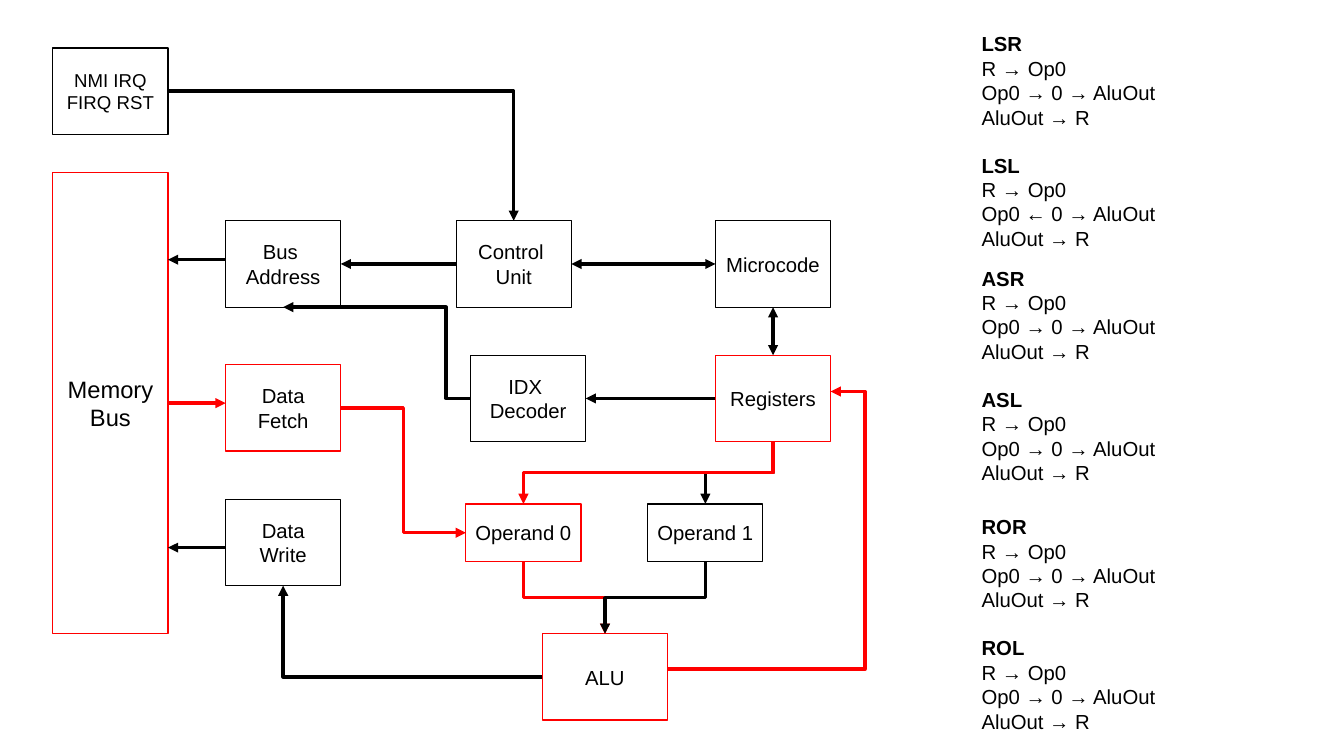
from dataclasses import dataclass
from lxml.etree import SubElement
from pptx import Presentation
from pptx.dml.color import RGBColor as Rgb
from pptx.enum.shapes import MSO_CONNECTOR as Link, MSO_SHAPE as Form
from pptx.enum.text import MSO_ANCHOR as Anchor, PP_ALIGN as Align
from pptx.oxml.ns import qn
from pptx.slide import Slide
from pptx.text.text import TextFrame
from pptx.util import Pt

COLORS = {"black": "000000", "red": "FF0000", "white": "FFFFFF"}
FONT = "Arial"
ROW, WIDE, HIGH = 130.4, 68, 51


@dataclass
class Box:
    text: str
    x: float
    y: float
    w: float = WIDE
    h: float = HIGH
    color: str = "black"
    size: float = 12

    def spot(self, part: tuple[float, float]) -> tuple[float, float]:
        return self.x + self.w * part[0], self.y + self.h * part[1]


@dataclass
class Wire:
    start: str
    leave: tuple[float, float]
    end: str
    enter: tuple[float, float]
    route: str
    color: str = "black"
    bend: float = 0.5
    double: bool = False


@dataclass
class Note:
    y: float
    codes: tuple[tuple[str, str], ...]


TOP, LOW, LEFT, RIGHT = (0.5, 0), (0.5, 1), (0, 0.5), (1, 0.5)

BOXES = {
    "control": Box("Control \nUnit", 269.3, ROW),
    "regs": Box("Registers", 422.4, 209.8, color="red"),
    "index": Box("IDX \nDecoder", 277.8, 209.8),
    "micro": Box("Microcode", 422.4, ROW),
    "alu": Box("ALU", 320.3, 374.2, w=73.7, color="red"),
    "address": Box("Bus \nAddress", 133.2, ROW),
    "fetch": Box("Data\nFetch", 133.2, 215.4, color="red"),
    "write": Box("Data\nWrite", 133.2, 294.8),
    "memory": Box("Memory\nBus", 31.2, 102, h=272.1, color="red", size=14),
    "op0": Box("Operand 0", 275, 297.6, h=34, color="red"),
    "signals": Box("NMI IRQ\nFIRQ RST", 31.2, 28.3, size=11),
    "op1": Box("Operand 1", 382.4, 297.6, h=34),
}

WIRES = [
    Wire("address", (0, 0.45), "memory", RIGHT, "H"),
    Wire("memory", RIGHT, "fetch", LEFT, "H", "red"),
    Wire("write", (0, 0.56), "memory", RIGHT, "H"),
    Wire("alu", LEFT, "write", LOW, "HV"),
    Wire("op0", LOW, "alu", TOP, "VHV", "red"),
    Wire("op1", LOW, "alu", TOP, "VHV"),
    Wire("regs", LEFT, "index", RIGHT, "H"),
    Wire("control", LEFT, "address", RIGHT, "H"),
    Wire("fetch", RIGHT, "op0", LEFT, "HVH", "red"),
    Wire("regs", LOW, "op1", TOP, "VHV"),
    Wire("regs", LOW, "op0", TOP, "VHV", "red"),
    Wire("index", LEFT, "address", LOW, "HVH", bend=0.13),
    Wire("signals", RIGHT, "control", TOP, "HV"),
    Wire("micro", LOW, "regs", TOP, "V", double=True),
    Wire("control", RIGHT, "micro", LEFT, "H", double=True),
    Wire("alu", (1, 0.41), "regs", (1, 0.42), "HVH", "red", 1.21),
]

NOTES = [
    Note(15.1, (("LSR", "→"), ("LSL", "←"))),
    Note(153.4, (("ASR", "→"), ("ASL", "→"))),
    Note(300.2, (("ROR", "→"), ("ROL", "→"))),
]


def paint(name: str) -> Rgb:
    return Rgb.from_string(COLORS[name])


def style(frame: TextFrame, size: float) -> None:
    for para in frame.paragraphs:
        for run in para.runs:
            run.font.name = FONT
            run.font.size = Pt(size)
            run.font.color.rgb = paint("black")


def draw_box(slide: Slide, box: Box) -> None:
    shape = slide.shapes.add_shape(
        Form.RECTANGLE, Pt(box.x), Pt(box.y), Pt(box.w), Pt(box.h))
    shape.shadow.inherit = False
    shape.fill.solid()
    shape.fill.fore_color.rgb = paint("white")
    shape.line.color.rgb = paint(box.color)
    shape.line.width = Pt(0)
    frame = shape.text_frame
    frame.word_wrap = False
    frame.vertical_anchor = Anchor.MIDDLE
    frame.text = box.text
    for para in frame.paragraphs:
        para.alignment = Align.CENTER
    style(frame, box.size)


def draw_wire(slide: Slide, wire: Wire) -> None:
    x1, y1 = BOXES[wire.start].spot(wire.leave)
    x2, y2 = BOXES[wire.end].spot(wire.enter)
    if wire.route == "H":
        y2 = y1
    turned = wire.route == "VHV"
    if turned:
        mid_x, mid_y = (x1 + x2) / 2, (y1 + y2) / 2
        half_x, half_y = (x2 - x1) / 2, (y2 - y1) / 2
        x1, x2 = mid_x - half_y, mid_x + half_y
        y1, y2 = mid_y + half_x, mid_y - half_x
    kind = Link.STRAIGHT if len(wire.route) == 1 else Link.ELBOW
    line = slide.shapes.add_connector(kind, Pt(x1), Pt(y1), Pt(x2), Pt(y2))
    line.line.color.rgb = paint(wire.color)
    line.line.width = Pt(0)
    props = line.element.spPr
    if turned:
        props.find(qn("a:xfrm")).set("rot", "5400000")
    shape = props.find(qn("a:prstGeom"))
    if wire.route == "HV":
        shape.set("prst", "bentConnector2")
    elif len(wire.route) == 3:
        SubElement(shape.find(qn("a:avLst")), qn("a:gd"),
                   name="adj1", fmla=f"val {round(wire.bend * 100000)}")
    stroke = props.find(qn("a:ln"))
    for tip in ("headEnd", "tailEnd") if wire.double else ("tailEnd",):
        SubElement(stroke, qn(f"a:{tip}"), type="triangle")
    SubElement(props, qn("a:effectLst"))


def draw_note(slide: Slide, note: Note) -> None:
    frame = slide.shapes.add_textbox(
        Pt(572.4), Pt(note.y), Pt(193), Pt(128)).text_frame
    frame.word_wrap = True
    frame.text = "\n".join(
        f"{code}\nR → Op0\nOp0 {arrow} 0 → AluOut\nAluOut → R"
        for code, arrow in note.codes)
    style(frame, 12)
    heads = frame.paragraphs[::4]
    for head in heads:
        head.runs[0].font.bold = True
    for head in heads[1:]:
        head.space_before = Pt(14)


def main() -> None:
    deck = Presentation()
    deck.slide_width, deck.slide_height = Pt(793.44), Pt(446.4)
    slide = deck.slides.add_slide(deck.slide_layouts[6])
    for box in BOXES.values():
        draw_box(slide, box)
    for wire in WIRES:
        draw_wire(slide, wire)
    for note in NOTES:
        draw_note(slide, note)
    deck.save("out.pptx")


if __name__ == "__main__":
    main()
